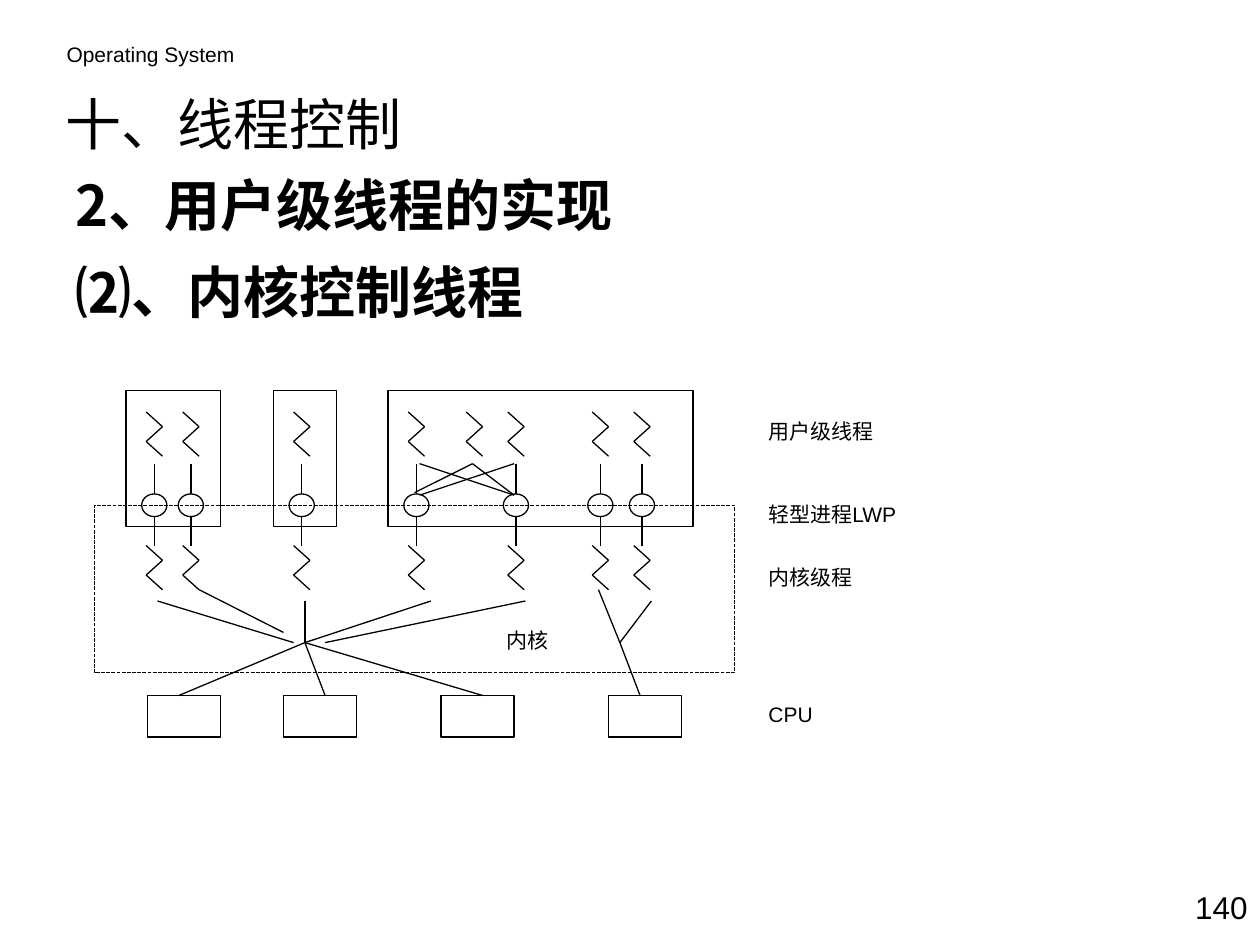
from dataclasses import dataclass

from lxml import etree
from pptx import Presentation
from pptx.dml.color import RGBColor
from pptx.enum import dml, shapes, text
from pptx.oxml.ns import qn
from pptx.util import Inches, Pt


@dataclass(frozen=True)
class Theme:
    ink: RGBColor = RGBColor(0, 0, 0)
    latin: str = "Arial"
    cjk: str = "Noto Sans CJK SC"
    heading: int = 32
    number: int = 18
    label: int = 12
    line: float = 0.75


THEME = Theme()

# Rows of the diagram
USER_TOP, USER_LINK, LWP_TOP, LWP_BOTTOM = 3.27, 3.68, 3.92, 4.1
KERNEL_TOP, KERNEL_END, LINK_TOP, HUB_Y, CPU_TOP = 4.33, 4.68, 4.77, 5.1, 5.52
ZIG_W, ZIG_STEP = 0.13, 0.117

# Columns and boxes
LWP_THREADS = [1.16, 1.45, 2.33, 3.24, 4.03, 4.7, 5.03]
SHARED_THREAD = 3.7
PROCESSES = [(1, 0.75), (2.17, 0.5), (3.08, 2.42)]
CPUS = [1.17, 2.25, 3.5, 4.83]

LABELS = [
    ("CPU", 6, 5.52, 0.92),
    ("轻型进程 LWP".replace(" ", ""), 6, 3.93, 1.33),
    ("用户级线程", 6, 3.27, 1.25),
    ("内核级程", 6, 4.43, 0.92),
    ("内核", 3.92, 4.93, 0.92),
]

# Links from user threads to shared light-weight processes
CROSS_LINKS = [
    (3.75, USER_LINK, 3.29, 3.91),
    (3.75, USER_LINK, 4.08, 3.93),
    (4.08, USER_LINK, 3.33, 3.93),
    (3.33, USER_LINK, 4.08, 3.93),
]

# Links from kernel threads through the two schedulers to the CPUs
HUB, SIDE_HUB = 2.42, 4.92
SCHEDULING_LINKS = [
    *[(HUB, HUB_Y, x, CPU_TOP) for x in (1.42, 2.58, 3.83)],
    (1.25, LINK_TOP, 2.33, HUB_Y),
    (1.58, KERNEL_END, 2.25, 5.02),
    (HUB, LINK_TOP, HUB, HUB_Y),
    (3.42, LINK_TOP, HUB, HUB_Y),
    (4.17, LINK_TOP, 2.58, HUB_Y),
    (4.75, KERNEL_END, SIDE_HUB, HUB_Y),
    (5.17, LINK_TOP, SIDE_HUB, HUB_Y),
    (SIDE_HUB, HUB_Y, 5.08, CPU_TOP),
]


def style_line(sp):
    sp.line.color.rgb = THEME.ink
    sp.line.width = Pt(THEME.line)


def add_line(parent, x1, y1, x2, y2):
    sp = parent.shapes.add_connector(
        shapes.MSO_CONNECTOR.STRAIGHT, Inches(x1), Inches(y1), Inches(x2), Inches(y2))
    style_line(sp)
    etree.SubElement(sp._element.spPr, qn("a:effectLst"))


def add_outline(parent, kind, x, y, w, h):
    sp = parent.shapes.add_shape(kind, Inches(x), Inches(y), Inches(w), Inches(h))
    sp.shadow.inherit = False
    sp.fill.background()
    style_line(sp)
    return sp


def write(tf, lines, size, font, bold=False, align=text.PP_ALIGN.LEFT, gap=0):
    tf.word_wrap = True
    for i, line in enumerate(lines):
        p = tf.paragraphs[0] if i == 0 else tf.add_paragraph()
        p.alignment = align
        p.space_before = Pt(gap if i else 0)
        r = p.add_run()
        r.text = line
        for name, value in {"size": Pt(size), "name": font, "bold": bold}.items():
            setattr(r.font, name, value)
        r.font.color.rgb = THEME.ink
        ea = etree.SubElement(r.font._element, qn("a:ea"))
        ea.set("typeface", THEME.cjk)


def add_text(parent, lines, x, y, w, h, size, font=THEME.latin, **fmt):
    sp = parent.shapes.add_textbox(Inches(x), Inches(y), Inches(w), Inches(h))
    write(sp.text_frame, lines, size, font, **fmt)
    return sp


def add_title(s, title):
    sp = s.shapes.title
    box = {"left": 0.42, "top": 0.6, "width": 6.25, "height": 0.75}
    for name, value in box.items():
        setattr(sp, name, Inches(value))
    sp.text_frame.vertical_anchor = text.MSO_ANCHOR.MIDDLE
    write(sp.text_frame, [title], THEME.heading, THEME.cjk)


def add_zigzag(parent, x, y):
    for i in range(3):
        ends = (x, x + ZIG_W) if i % 2 == 0 else (x + ZIG_W, x)
        add_line(parent, ends[0], y + i * ZIG_STEP, ends[1], y + (i + 1) * ZIG_STEP)


def add_lwp_thread(parent, x):
    """User thread, light-weight process and kernel thread in one column."""
    center = x + ZIG_W / 2
    add_zigzag(parent, x, USER_TOP)
    add_line(parent, center, USER_LINK, center, LWP_TOP)
    add_outline(parent, shapes.MSO_SHAPE.OVAL, center - 0.1, LWP_TOP, 0.2,
                LWP_BOTTOM - LWP_TOP)
    add_line(parent, center, LWP_BOTTOM, center, KERNEL_TOP)
    add_zigzag(parent, x, KERNEL_TOP)


def add_diagram(s):
    group = s.shapes.add_group_shape()
    rect = shapes.MSO_SHAPE.RECTANGLE

    # Processes and their threads
    for x, w in PROCESSES:
        add_outline(group, rect, x, 3.1, w, 1.08)
    for x in LWP_THREADS:
        add_lwp_thread(group, x)
    add_zigzag(group, SHARED_THREAD, USER_TOP)

    # CPUs and links
    for x in CPUS:
        add_outline(group, rect, x, CPU_TOP, 0.58, 0.33)
    for link in CROSS_LINKS + SCHEDULING_LINKS:
        add_line(group, *link)

    # Kernel boundary
    kernel = add_outline(group, rect, 0.75, 4.01, 5.08, 1.33)
    kernel.line.dash_style = dml.MSO_LINE.SQUARE_DOT

    for label, x, y, w in LABELS:
        add_text(group, [label], x, y, w, 0.3, THEME.label)


def main():
    prs = Presentation()
    prs.slide_width, prs.slide_height = Inches(10), Inches(7.5)
    s = prs.slides.add_slide(prs.slide_layouts[5])

    # Header, title and page number
    add_text(s, ["Operating System"], 0.43, 0.28, 4.1, 0.3, THEME.label)
    add_title(s, "十、线程控制")
    add_text(s, ["140"], 9.08, 7, 0.92, 0.4, THEME.number, align=text.PP_ALIGN.RIGHT)

    # Section headings
    body = add_text(s, ["2、用户级线程的实现", "⑵、内核控制线程"], 0.5, 1.35, 9.5, 4.75,
                    THEME.heading, THEME.cjk, bold=True, gap=11.5)
    body.text_frame.margin_top = 0

    add_diagram(s)
    prs.save("out.pptx")


if __name__ == "__main__":
    main()
